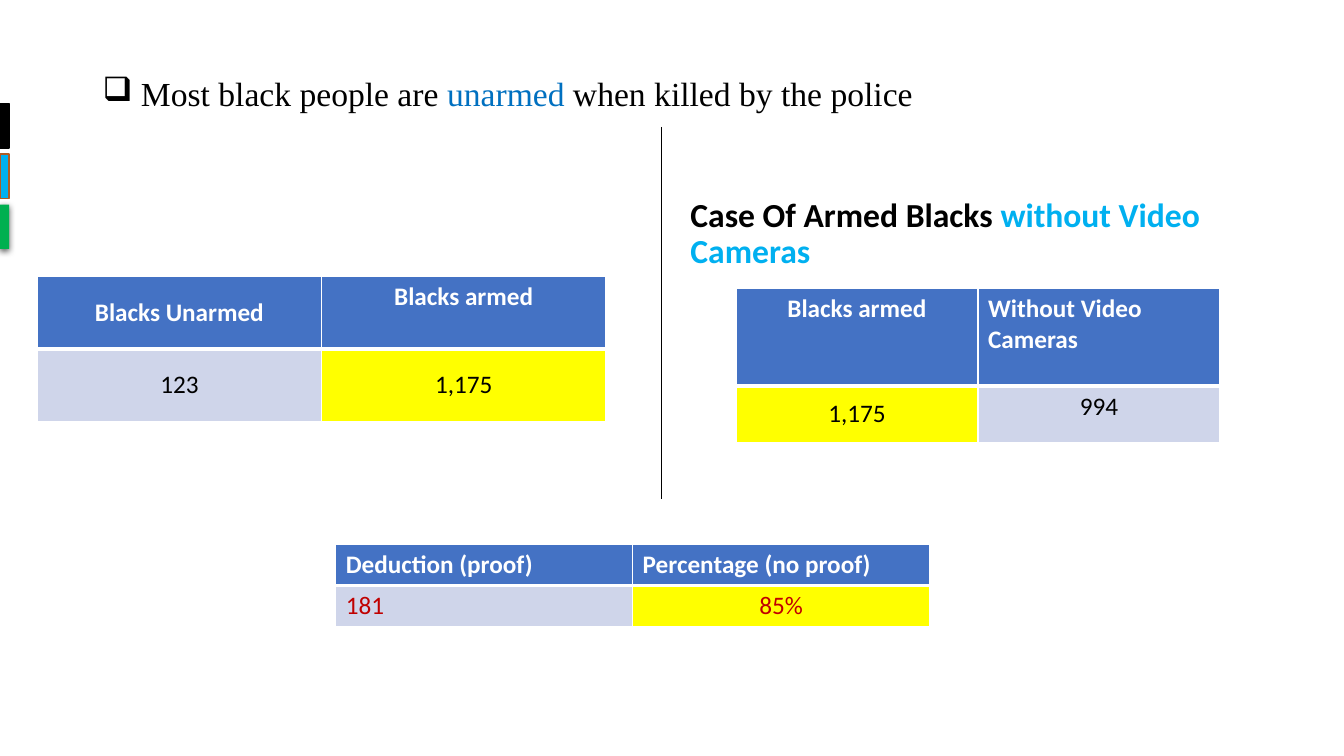
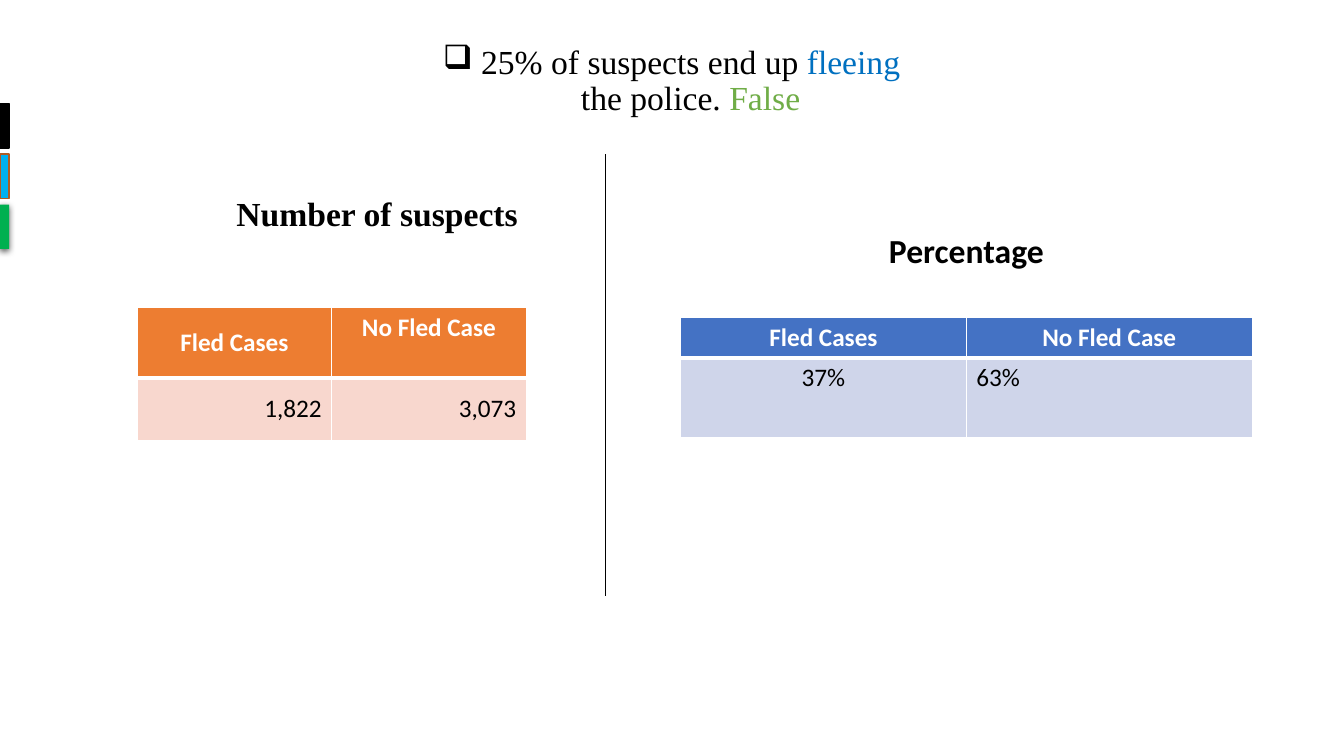
from dataclasses import dataclass

from lxml import etree
from pptx import Presentation
from pptx.dml.color import RGBColor
from pptx.enum.shapes import MSO_CONNECTOR, MSO_SHAPE
from pptx.enum.text import MSO_ANCHOR, PP_ALIGN
from pptx.oxml.ns import qn
from pptx.util import Inches, Pt

LEFT, CENTER, RIGHT = PP_ALIGN.LEFT, PP_ALIGN.CENTER, PP_ALIGN.RIGHT
TOP, MIDDLE, BOTTOM = MSO_ANCHOR.TOP, MSO_ANCHOR.MIDDLE, MSO_ANCHOR.BOTTOM
RECTANGLE = MSO_SHAPE.RECTANGLE
STRAIGHT = MSO_CONNECTOR.STRAIGHT
BLANK_LAYOUT = 6


@dataclass(frozen=True)
class Theme:
    """Colours, fonts and type sizes shared by the slides."""
    black: str = "000000"
    white: str = "FFFFFF"
    blue: str = "4472C4"
    pale_blue: str = "CFD5EA"
    orange: str = "ED7D31"
    pale_orange: str = "F8D7CE"
    yellow: str = "FFFF00"
    red: str = "C00000"
    title_blue: str = "0070C0"
    title_green: str = "70AD47"
    sky: str = "00B0F0"
    rust: str = "AF5C24"
    green: str = "00B050"
    serif: str = "Times New Roman"
    sans: str = "Calibri"
    heading_size: int = 24
    table_size: int = 18


THEME = Theme()


@dataclass(frozen=True)
class Cell:
    """Text and look of one table cell."""
    text: str
    fill: str
    alignment: int = CENTER
    anchor: int = TOP
    color: str = THEME.black


def rgb(value):
    """Turn a hex string into a colour."""
    return RGBColor.from_string(value)


def style_run(run, font, size, color, bold=False):
    """Give a run its font, size, colour and weight."""
    run.font.name = font
    run.font.size = Pt(size)
    run.font.bold = bold
    run.font.color.rgb = rgb(color)


def add_text(slide, box, lines, font, alignment=LEFT, anchor=MIDDLE, bold=False):
    """Add a one-paragraph text box from lines of (text, colour) pairs."""
    shape = slide.shapes.add_textbox(*map(Inches, box))
    frame = shape.text_frame
    frame.word_wrap = True
    frame.vertical_anchor = anchor
    paragraph = frame.paragraphs[0]
    paragraph.alignment = alignment
    paragraph.line_spacing = 0.9
    for index, line in enumerate(lines):
        if index:
            paragraph.add_line_break()
        for text, color in line:
            run = paragraph.add_run()
            run.text = text
            style_run(run, font, THEME.heading_size, color, bold)
    return paragraph


def add_title(slide, box, lines, alignment=LEFT):
    """Add the slide title with its square bullet."""
    paragraph = add_text(slide, box, lines, THEME.serif, alignment)
    properties = paragraph._p.get_or_add_pPr()
    properties.set("marL", str(Inches(0.38)))
    properties.set("indent", str(-Inches(0.38)))
    etree.SubElement(properties, qn("a:buChar"), char="\u2751")


def add_heading(slide, box, parts, font=THEME.sans, alignment=CENTER):
    """Add a bold heading that sits above a table."""
    add_text(slide, box, [parts], font, alignment, BOTTOM, bold=True)


def add_borders(cell, bottom_width):
    """Draw white borders around a table cell."""
    properties = cell._tc.get_or_add_tcPr()
    for side in "LRTB":
        width = bottom_width if side == "B" else 1
        border = etree.SubElement(properties, qn(f"a:ln{side}"), w=str(Pt(width)))
        fill = etree.SubElement(border, qn("a:solidFill"))
        etree.SubElement(fill, qn("a:srgbClr"), val=THEME.white)


def style_cell(cell, content, is_header):
    """Fill a table cell and set its text."""
    add_borders(cell, 3 if is_header else 1)
    cell.fill.solid()
    cell.fill.fore_color.rgb = rgb(content.fill)
    cell.vertical_anchor = content.anchor
    paragraph = cell.text_frame.paragraphs[0]
    paragraph.text = content.text
    paragraph.alignment = content.alignment
    color = THEME.white if is_header else content.color
    style_run(paragraph.runs[0], THEME.sans, THEME.table_size, color, is_header)


def add_data_table(slide, left, top, width, heights, rows):
    """Add a table with equal columns and a header row."""
    columns = len(rows[0])
    frame = slide.shapes.add_table(
        len(rows), columns, Inches(left), Inches(top), Inches(width), Inches(sum(heights)))
    table = frame.table
    for column in table.columns:
        column.width = Inches(width / columns)
    for row_index, (height, contents) in enumerate(zip(heights, rows)):
        table.rows[row_index].height = Inches(height)
        for column_index, content in enumerate(contents):
            style_cell(table.cell(row_index, column_index), content, row_index == 0)


def add_soft_shadow(shape):
    """Put a soft shadow below a shape."""
    effects = etree.SubElement(shape._element.spPr, qn("a:effectLst"))
    shadow = etree.SubElement(
        effects, qn("a:outerShdw"), blurRad=str(Pt(4.5)), dist=str(Pt(1.5)),
        dir="5400000", algn="ctr", rotWithShape="0")
    color = etree.SubElement(shadow, qn("a:srgbClr"), val=THEME.black)
    etree.SubElement(color, qn("a:alpha"), val="63000")


def add_side_tabs(slide):
    """Add the three coloured tabs on the left edge."""
    tabs = ((THEME.black, THEME.black), (THEME.sky, THEME.rust), (THEME.green, None))
    for index, (fill, line) in enumerate(tabs):
        shape = slide.shapes.add_shape(
            RECTANGLE, 0, Inches(1.03 + 0.5 * index), Inches(0.09), Inches(0.44))
        shape.fill.solid()
        shape.fill.fore_color.rgb = rgb(fill)
        if line:
            shape.shadow.inherit = False
            shape.line.color.rgb = rgb(line)
            shape.line.width = Pt(1)
        else:
            shape.line.fill.background()
            add_soft_shadow(shape)


def add_divider(slide, x, top, bottom):
    """Add the thin vertical line between the two halves."""
    line = slide.shapes.add_connector(
        STRAIGHT, Inches(x), Inches(top), Inches(x), Inches(bottom))
    line.line.color.rgb = rgb(THEME.black)
    line.line.width = Pt(0.5)
    etree.SubElement(line._element.spPr, qn("a:effectLst"))


def build_unarmed_slide(slide):
    """Build the slide on armed and unarmed cases."""
    blue, pale, yellow = THEME.blue, THEME.pale_blue, THEME.yellow
    add_title(slide, (0.92, 0.4, 11.5, 1.09), [[
        ("Most black people are ", THEME.black),
        ("unarmed", THEME.title_blue),
        (" when killed by the police", THEME.black)]])
    add_data_table(slide, 0.37, 2.74, 5.64, (0.72, 0.72), (
        (Cell("Blacks Unarmed", blue, anchor=MIDDLE), Cell("Blacks armed", blue)),
        (Cell("123", pale, anchor=MIDDLE), Cell("1,175", yellow, anchor=MIDDLE))))
    add_heading(slide, (6.75, 1.84, 5.67, 0.9), (
        ("Case Of Armed Blacks ", THEME.black),
        ("without Video Cameras", THEME.sky)), alignment=LEFT)
    add_data_table(slide, 7.3, 2.86, 4.8, (0.97, 0.56), (
        (Cell("Blacks armed", blue), Cell("Without Video Cameras", blue, LEFT)),
        (Cell("1,175", yellow, anchor=MIDDLE), Cell("994", pale))))
    add_side_tabs(slide)
    add_divider(slide, 6.56, 1.26, 4.95)
    add_data_table(slide, 3.33, 5.4, 5.89, (0.41, 0.41), (
        (Cell("Deduction (proof)", blue, LEFT), Cell("Percentage (no proof)", blue, LEFT)),
        (Cell("181", pale, LEFT, color=THEME.red), Cell("85%", yellow, color=THEME.red))))


def build_fleeing_slide(slide):
    """Build the slide on suspects who fled."""
    blue, pale = THEME.blue, THEME.pale_blue
    orange, pale_orange = THEME.orange, THEME.pale_orange
    add_title(slide, (0.91, 0.4, 11.5, 0.82), [
        [("25% of suspects end up ", THEME.black), ("fleeing", THEME.title_blue)],
        [("the police. ", THEME.black), ("False", THEME.title_green)]], CENTER)
    add_heading(slide, (0.92, 1.47, 5.64, 0.9),
                [("Number of suspects", THEME.black)], THEME.serif)
    add_data_table(slide, 1.36, 3.05, 3.86, (0.7, 0.62), (
        (Cell("Fled Cases", orange, anchor=MIDDLE), Cell("No Fled Case", orange)),
        (Cell("1,822", pale_orange, RIGHT, MIDDLE), Cell("3,073", pale_orange, RIGHT, MIDDLE))))
    add_heading(slide, (6.75, 1.84, 5.67, 0.9), [("Percentage", THEME.black)])
    add_data_table(slide, 6.75, 3.15, 5.67, (0.4, 0.79), (
        (Cell("Fled Cases", blue, anchor=MIDDLE), Cell("No Fled Case", blue)),
        (Cell("37%", pale), Cell("63%", pale, LEFT))))
    add_side_tabs(slide)
    add_divider(slide, 6, 1.53, 5.91)


def main():
    """Build the presentation and save it."""
    presentation = Presentation()
    presentation.slide_width = Inches(13.33)
    presentation.slide_height = Inches(7.5)
    for build in (build_unarmed_slide, build_fleeing_slide):
        build(presentation.slides.add_slide(presentation.slide_layouts[BLANK_LAYOUT]))
    presentation.save("out.pptx")


main()
